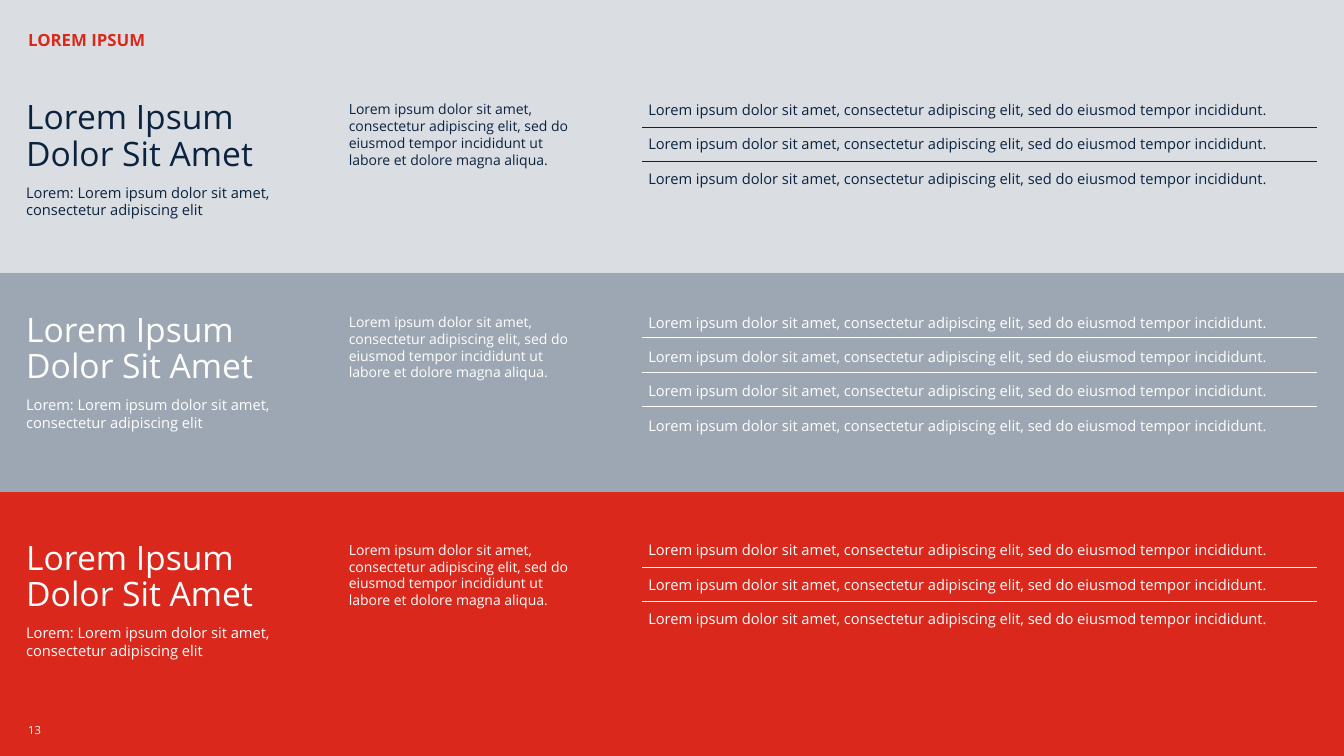
"""Build a slide of three stacked colour bands with headings, copy and ruled lists."""
from lxml.etree import SubElement
from pptx import Presentation
from pptx.dml.color import RGBColor
from pptx.enum.shapes import MSO_CONNECTOR, MSO_SHAPE
from pptx.enum.text import MSO_ANCHOR
from pptx.oxml.ns import qn
from pptx.util import Inches, Pt

COLORS = {"red": "DA291C", "mist": "DADEE2", "slate": "9DA7B3", "navy": "0C2340", "white": "FFFFFF"}
FONT = "Open Sans"
LABEL = "LOREM IPSUM"
PAGE = "13"
HEADING = "Lorem Ipsum Dolor Sit Amet"
SUBHEADING = "Lorem: Lorem ipsum dolor sit amet, consectetur adipiscing elit"
COPY = ("Lorem ipsum dolor sit amet, consectetur adipiscing elit, sed do eiusmod "
        "tempor incididunt ut labore et dolore magna aliqua.")
ITEM = "Lorem ipsum dolor sit amet, consectetur adipiscing elit, sed do eiusmod tempor incididunt."

WIDTH, HEIGHT = 13.33, 7.5
FILLS = [("mist", -0.01, 2.88), ("slate", 2.71, 2.17)]
BANDS = [
    {"ink": "navy", "top": 1.0, "rule": 1.26, "items": 3},
    {"ink": "white", "top": 3.11, "rule": 3.35, "items": 4},
    {"ink": "white", "top": 5.37, "rule": 5.63, "items": 3},
]
MARGIN, HEAD_X, COPY_X, LIST_X = 0.28, 0.26, 3.46, 6.43
RULE_X, RULE_END, ROW = 6.37, 13.06, 0.34
SUB_DROP = 0.82


def rgb(name):
    return RGBColor.from_string(COLORS[name])


def add_text(slide, box, lines, size, ink, bold=False, spacing=None, after=0, anchor=MSO_ANCHOR.TOP):
    tf = slide.shapes.add_textbox(*map(Inches, box)).text_frame
    tf.word_wrap = True
    tf.vertical_anchor = anchor
    tf.margin_left = tf.margin_right = tf.margin_top = tf.margin_bottom = 0
    for i, line in enumerate(lines):
        p = tf.add_paragraph() if i else tf.paragraphs[0]
        p.text = line
        p.space_after = Pt(after)
        p.line_spacing = spacing
        p.font.name, p.font.size, p.font.bold = FONT, Pt(size), bold
        p.font.color.rgb = rgb(ink)


def add_rule(slide, y, ink):
    line = slide.shapes.add_connector(
        MSO_CONNECTOR.STRAIGHT, Inches(RULE_X), Inches(y), Inches(RULE_END), Inches(y))
    line.line.color.rgb = rgb(ink)
    line.line.width = Pt(0.5)
    SubElement(line._element.spPr, qn("a:effectLst"))


def add_band(slide, ink, top, rule, items):
    add_text(slide, (HEAD_X, top, 2.75, 0.83), [HEADING], 24, ink, spacing=0.9)
    add_text(slide, (HEAD_X, top + SUB_DROP, 2.44, 0.35), [SUBHEADING], 10.5, ink, after=12)
    add_text(slide, (COPY_X, top, 2.34, 0.67), [COPY], 10, ink, after=12)
    add_text(slide, (LIST_X, top, 6.61, items * ROW), [ITEM] * items, 10.5, ink, after=12)
    for i in range(items - 1):
        add_rule(slide, rule + i * ROW, ink)


def main():
    prs = Presentation()
    prs.slide_width, prs.slide_height = Inches(WIDTH), Inches(HEIGHT)
    s = prs.slides.add_slide(prs.slide_layouts[6])
    s.background.fill.solid()
    s.background.fill.fore_color.rgb = rgb("red")
    for color, top, height in FILLS:
        sp = s.shapes.add_shape(MSO_SHAPE.RECTANGLE, 0, Inches(top), Inches(WIDTH), Inches(height))
        sp.fill.solid()
        sp.fill.fore_color.rgb = rgb(color)
        sp.line.fill.background()
        sp.shadow.inherit = False
    for band in BANDS:
        add_band(s, **band)
    add_text(s, (MARGIN, 0.26, 2.23, 0.23), [LABEL], 12, "red", bold=True, spacing=Pt(16.8))
    add_text(s, (MARGIN, 7.13, 0.54, 0.22), [PAGE], 8, "white", anchor=MSO_ANCHOR.MIDDLE)
    prs.save("out.pptx")


if __name__ == "__main__":
    main()
